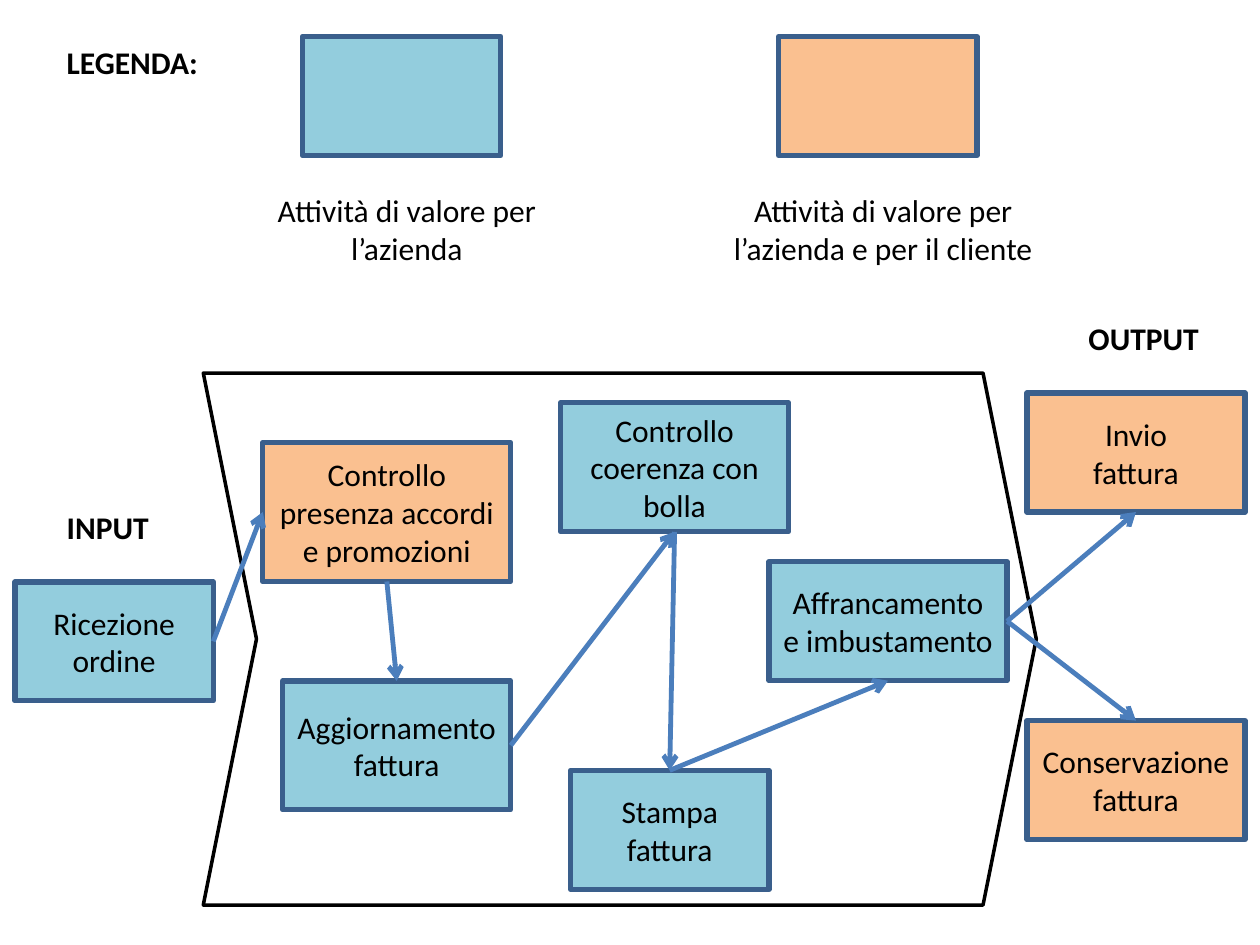
from lxml import etree
from pptx import Presentation
from pptx.dml.color import RGBColor
from pptx.enum.shapes import MSO_CONNECTOR, MSO_SHAPE
from pptx.enum.text import MSO_ANCHOR, PP_ALIGN
from pptx.oxml.ns import qn
from pptx.util import Pt

RECT, CHEVRON = MSO_SHAPE.RECTANGLE, MSO_SHAPE.CHEVRON
STRAIGHT = MSO_CONNECTOR.STRAIGHT
LEFT, CENTER = PP_ALIGN.LEFT, PP_ALIGN.CENTER
UPPER, MIDDLE = MSO_ANCHOR.TOP, MSO_ANCHOR.MIDDLE
TOP, WEST, BOTTOM, EAST = range(4)

BLUE, ORANGE = "93CDDD", "FAC090"
WHITE, BLACK = "FFFFFF", "000000"
EDGE, ARROW = "3A5F8C", "4B7EBC"


def color(code):
    """Turn a hex string into a colour."""
    return RGBColor.from_string(code)


def apply(target, values):
    """Set each named value on the target."""
    for name, value in values.items():
        setattr(target, name, value)


class Board:
    """Holds the style and the current slide."""

    font = {"name": "Calibri", "size": Pt(18)}

    def __init__(self, slide):
        """Keep the slide to draw on."""
        self.slide = slide

    def letter(self, shape, text, align, anchor, bold=False):
        """Fill a shape with styled paragraphs, one per line."""
        frame = shape.text_frame
        apply(frame, {"text": text, "word_wrap": True,
                      "vertical_anchor": anchor})
        for para in frame.paragraphs:
            para.alignment = align
            for run in para.runs:
                apply(run.font, {**self.font, "bold": bold})
                run.font.color.rgb = color(BLACK)

    def shape(self, kind, area, fill, edge, width):
        """Add a filled and outlined preset shape."""
        shape = self.slide.shapes.add_shape(kind, *map(Pt, area))
        shape.shadow.inherit = False
        shape.fill.solid()
        shape.fill.fore_color.rgb = color(fill)
        shape.line.color.rgb = color(edge)
        shape.line.width = Pt(width)
        return shape

    def box(self, area, fill, text=""):
        """Add an activity box."""
        box = self.shape(RECT, area, fill, EDGE, 3)
        if text:
            self.letter(box, text, CENTER, MIDDLE)
        return box

    def label(self, area, text, align=LEFT, bold=False):
        """Add a free text label."""
        label = self.slide.shapes.add_textbox(*map(Pt, area))
        self.letter(label, text, align, UPPER, bold)

    def arrow(self, start, out, end, entry):
        """Join two boxes at the given sides with an arrow."""
        link = self.slide.shapes.add_connector(STRAIGHT, 0, 0, 0, 0)
        link.begin_connect(start, out)
        link.end_connect(end, entry)
        link.line.color.rgb = color(ARROW)
        link.line.width = Pt(2.75)
        props = link.element.spPr
        tail = etree.SubElement(props.find(qn("a:ln")), qn("a:tailEnd"))
        tail.set("type", "arrow")
        etree.SubElement(props, qn("a:effectLst"))


deck = Presentation()
deck.slide_width, deck.slide_height = Pt(720), Pt(540)
board = Board(deck.slides.add_slide(deck.slide_layouts[6]))

phase = board.shape(CHEVRON, (116.2, 213.2, 476, 304), WHITE, BLACK, 2)
phase.adjustments[0] = 0.1

HIGH = 68
STEPS = {
    "order": ((8.5, 332.5, 113.4, HIGH), BLUE, "Ricezione\nordine"),
    "terms": ((150.2, 252.9, 141.7, 79.4), ORANGE,
              "Controllo presenza accordi e promozioni"),
    "update": ((161.5, 389.1, 130.4, 73.7), BLUE, "Aggiornamento fattura"),
    "check": ((320.3, 230.2, 130.4, 73.7), BLUE,
              "Controllo coerenza con bolla"),
    "paper": ((326, 440.2, 113.4, HIGH), BLUE, "Stampa fattura"),
    "pack": ((439.4, 321, 136.1, HIGH), BLUE, "Affrancamento e imbustamento"),
    "send": ((586.8, 224.6, 124.7, HIGH), ORANGE, "Invio\nfattura"),
    "store": ((586.8, 411.8, 124.7, HIGH), ORANGE, "Conservazione fattura"),
}
boxes = {name: board.box(*step) for name, step in STEPS.items()}

LINKS = [
    ("order", EAST, "terms", WEST),
    ("terms", BOTTOM, "update", TOP),
    ("update", EAST, "check", BOTTOM),
    ("check", BOTTOM, "paper", TOP),
    ("paper", TOP, "pack", BOTTOM),
    ("pack", EAST, "send", BOTTOM),
    ("pack", EAST, "store", TOP),
]
for start, out, end, entry in LINKS:
    board.arrow(boxes[start], out, boxes[end], entry)

TITLES = [
    ((31, 20.9, 187, 29), "LEGENDA:"),
    ((31, 286.6, 68, 29), "INPUT"),
    ((614.9, 178.6, 79, 29), "OUTPUT"),
]
for area, text in TITLES:
    board.label(area, text, bold=True)

LEGEND = [
    (172.8, BLUE, 133.2, 198.7, "Attività di valore per l’azienda"),
    (444.9, ORANGE, 411.1, 187.2,
     "Attività di valore per l’azienda e per il cliente"),
]
for left, fill, edge, width, text in LEGEND:
    board.box((left, 20.9, 113.4, HIGH), fill)
    board.label((edge, 105.8, width, 51), text, CENTER)

deck.save("out.pptx")
